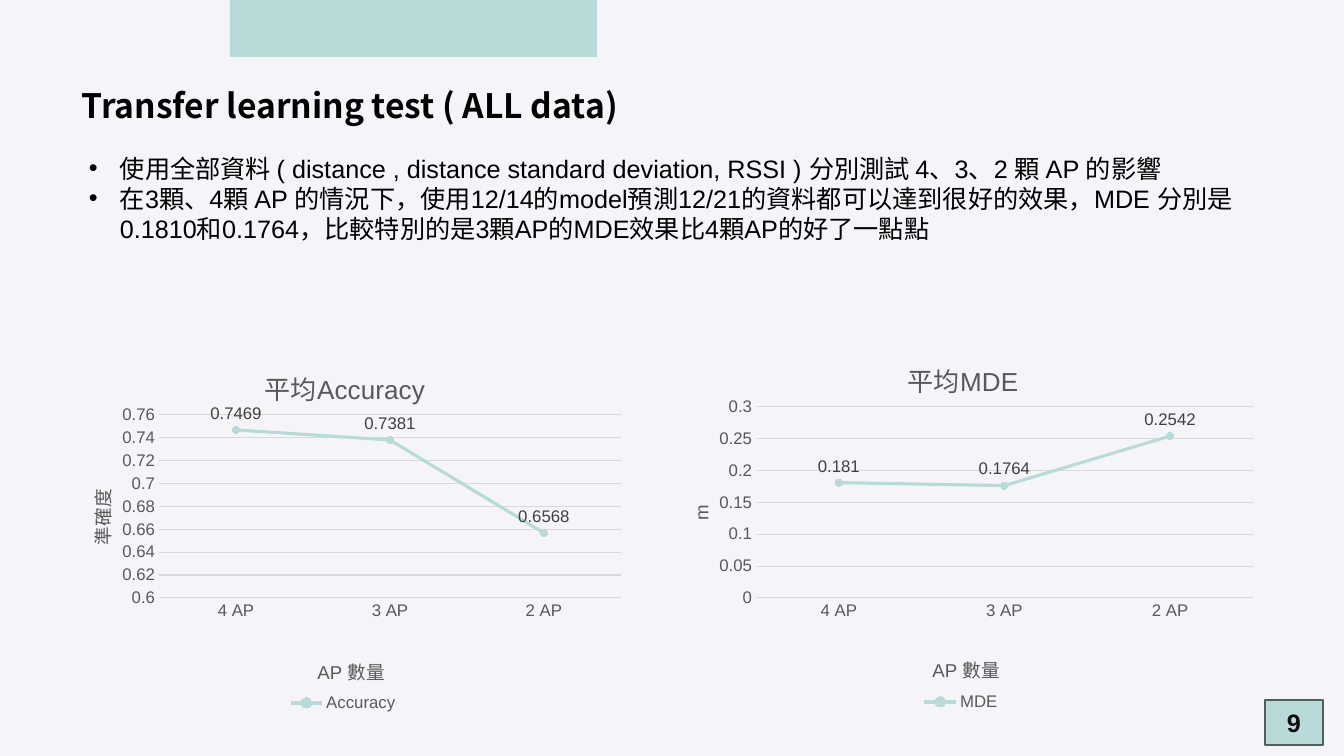
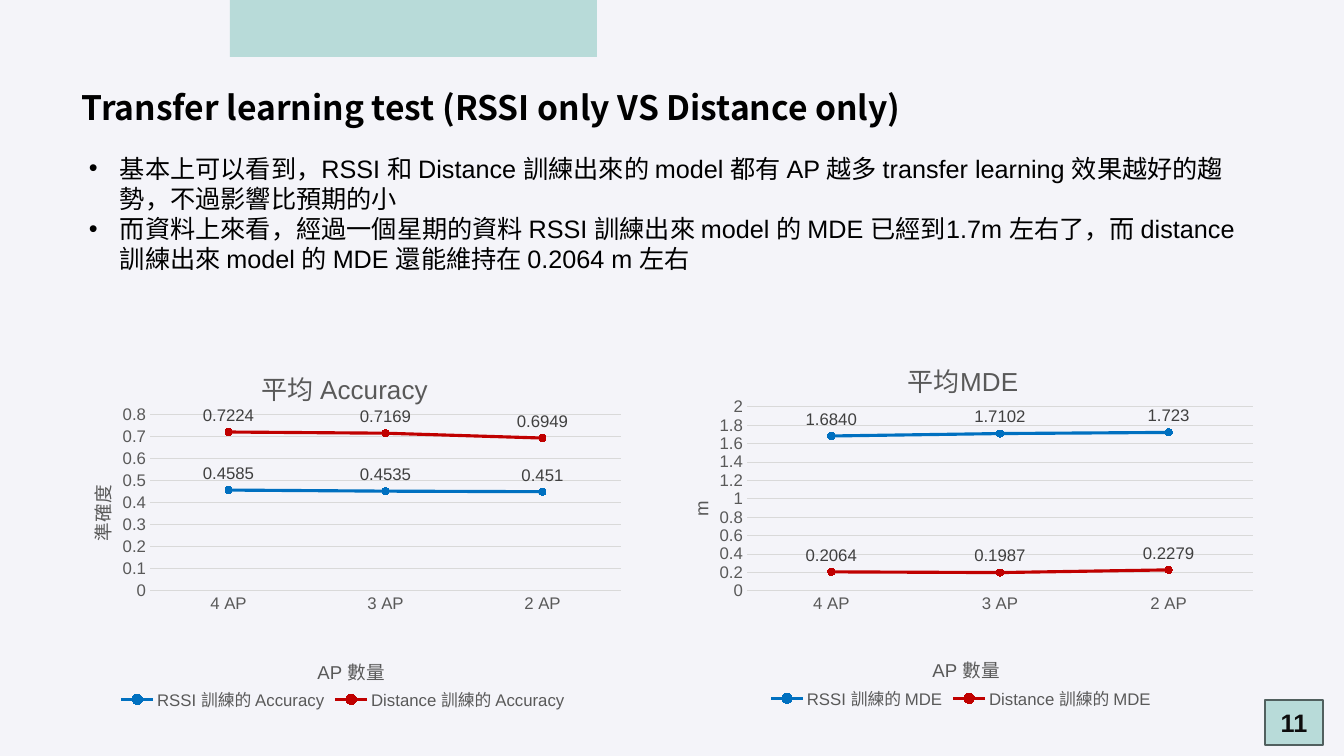
from lxml.etree import SubElement
from pptx import Presentation
from pptx.chart.data import CategoryChartData
from pptx.dml.color import RGBColor
from pptx.enum.chart import XL_CHART_TYPE as ChartType
from pptx.enum.chart import XL_LABEL_POSITION as LabelPosition
from pptx.enum.chart import XL_LEGEND_POSITION as LegendPosition
from pptx.enum.chart import XL_MARKER_STYLE as MarkerStyle
from pptx.enum.chart import XL_TICK_MARK as TickMark
from pptx.enum.shapes import MSO_SHAPE as Shape
from pptx.enum.text import MSO_ANCHOR as Anchor
from pptx.enum.text import MSO_AUTO_SIZE as AutoSize
from pptx.enum.text import PP_ALIGN as Align
from pptx.oxml import parse_xml
from pptx.oxml.ns import nsdecls, qn
from pptx.util import Pt

PX = 914400 / 100.8
WIDTH, HEIGHT = 1344, 756
INDENT = 31
COLORS = {name: RGBColor.from_string(value) for name, value in {
    "paper": "F4F4F9", "mint": "B8DBD9", "edge": "51605F", "ink": "000000",
    "number": "0D0D0D", "chart_text": "595959", "label": "404040",
    "grid": "D9D9D9", "blue": "0070C0", "red": "C00000",
}.items()}
AP_COUNTS = ["4 AP", "3 AP", "2 AP"]

# Chart frames and the places that stay the same on both slides
SIDES = [
    {"frame": (54, 339, 578, 377), "plot_top": 415, "plot_right": 621,
     "title_top": 361, "x_title": (314, 652), "y_title": "準確度", "y_title_left": 83},
    {"frame": (657, 330, 608, 385), "plot_top": 407, "plot_right": 1253,
     "title_top": 353, "x_title": (929, 650), "y_title": "m", "y_title_left": 686},
]

SLIDES = [
    {
        "number": "9",
        "title": "Transfer learning test ( ALL data)",
        "title_top": 40,
        "bullets": [
            "使用全部資料 ( distance , distance standard deviation, RSSI ) 分別測試 4、3、2 顆 AP 的影響",
            "在3顆、4顆 AP 的情況下，使用12/14的model預測12/21的資料都可以達到很好的效果，"
            "MDE 分別是 0.1810和0.1764，比較特別的是3顆AP的MDE效果比4顆AP的好了一點點",
        ],
        "plot_bottom": 598,
        "charts": [
            {"title": "平均Accuracy", "title_left": 260, "plot_left": 159,
             "y_title_top": 485, "scale": (0.6, 0.76, 0.02),
             "series": [("Accuracy", "mint", (0.7469, 0.7381, 0.6568))]},
            {"title": "平均MDE", "title_left": 903, "plot_left": 756,
             "y_title_top": 501, "scale": (0, 0.3, 0.05),
             "series": [("MDE", "mint", (0.181, 0.1764, 0.2542))]},
        ],
    },
    {
        "number": "11",
        "title": "Transfer learning test (RSSI only VS Distance only)",
        "title_top": 42,
        "bullets": [
            "基本上可以看到，RSSI 和 Distance 訓練出來的 model 都有 AP 越多 transfer learning "
            "效果越好的趨勢，不過影響比預期的小",
            "而資料上來看，經過一個星期的資料 RSSI 訓練出來 model 的 MDE 已經到1.7m 左右了，"
            "而 distance 訓練出來 model 的 MDE 還能維持在 0.2064 m 左右",
        ],
        "plot_bottom": 591,
        "charts": [
            {"title": "平均 Accuracy", "title_left": 257, "plot_left": 150,
             "y_title_top": 481, "scale": (0, 0.8, 0.1),
             "series": [("RSSI 訓練的 Accuracy", "blue", (0.4585, 0.4535, 0.451)),
                        ("Distance 訓練的 Accuracy", "red", (0.7224, 0.7169, 0.6949))]},
            {"title": "平均MDE", "title_left": 903, "plot_left": 747,
             "y_title_top": 497, "scale": (0, 2, 0.2), "first_label": "1.6840",
             "series": [("RSSI 訓練的 MDE", "blue", (1.684, 1.7102, 1.723)),
                        ("Distance 訓練的 MDE", "red", (0.2064, 0.1987, 0.2279))]},
        ],
    },
]


def write_text(frame, *lines, size, color="ink", font="Arial", bold=False,
               align=None, spacing=None, bullet=False):
    """Write each line as one paragraph of the text frame."""
    for index, line in enumerate(lines):
        para = frame.add_paragraph() if index else frame.paragraphs[0]
        para.alignment = align
        para.line_spacing = spacing
        span = para.add_run()
        span.text = line
        span.font.name = font
        span.font.size = Pt(size)
        span.font.bold = bold
        span.font.color.rgb = COLORS[color]
        if font != "Arial":
            SubElement(span.font._element, qn("a:ea"), typeface=font)
        if bullet:
            format_element = para._p.get_or_add_pPr()
            format_element.set("marL", str(round(INDENT * PX)))
            format_element.set("indent", str(round(-INDENT * PX)))
            SubElement(format_element, qn("a:buFont"), typeface="Arial")
            SubElement(format_element, qn("a:buChar"), char="•")


def place_in_chart(element, index, frame, left, top, right=None, bottom=None):
    """Fix a chart part at slide px, stored as shares of the chart frame."""
    frame_left, frame_top, frame_width, frame_height = frame
    settings = [("xMode", "edge"), ("yMode", "edge"),
                ("x", (left - frame_left) / frame_width),
                ("y", (top - frame_top) / frame_height)]
    if right is not None:
        settings.insert(0, ("layoutTarget", "inner"))
        settings += [("w", (right - left) / frame_width),
                     ("h", (bottom - top) / frame_height)]
    for old in element.findall(qn("c:layout")):
        element.remove(old)
    layout = parse_xml(f"<c:layout {nsdecls('c')}><c:manualLayout/></c:layout>")
    for name, value in settings:
        SubElement(layout[0], qn(f"c:{name}"), val=str(value))
    element.insert(index, layout)


deck = Presentation()
deck.slide_width, deck.slide_height = round(WIDTH * PX), round(HEIGHT * PX)
background = deck.slide_master.background.fill
background.solid()
background.fore_color.rgb = COLORS["paper"]

for content in SLIDES:
    page = deck.slides.add_slide(deck.slide_layouts[6])

    # Top band and page number
    for bounds, number in [((230, -96, 367, 153), None),
                           ((1265, 700, 58, 45), content["number"])]:
        box = page.shapes.add_shape(Shape.RECTANGLE, *[round(v * PX) for v in bounds])
        box.shadow.inherit = False
        box.fill.solid()
        box.fill.fore_color.rgb = COLORS["mint"]
        if number is None:
            box.line.fill.background()
            continue
        box.line.color.rgb = COLORS["edge"]
        box.line.width = Pt(2)
        box.text_frame.vertical_anchor = Anchor.MIDDLE
        write_text(box.text_frame, number, size=18, color="number", bold=True,
                   align=Align.CENTER)

    # Title and bullets
    for bounds, lines, style in [
        ((72, content["title_top"], 1272, 79), [content["title"]],
         {"size": 24, "font": "Noto Sans CJK SC", "bold": True, "spacing": 2.0}),
        ((79, 148, 1170, 102), content["bullets"], {"size": 18, "bullet": True}),
    ]:
        box = page.shapes.add_textbox(*[round(v * PX) for v in bounds])
        box.text_frame.word_wrap = True
        box.text_frame.auto_size = AutoSize.SHAPE_TO_FIT_TEXT
        write_text(box.text_frame, *lines, **style)

    # Line charts
    for side, plan in zip(SIDES, content["charts"]):
        frame = side["frame"]
        data = CategoryChartData()
        data.categories = AP_COUNTS
        for name, _, values in plan["series"]:
            data.add_series(name, values)
        chart = page.shapes.add_chart(
            ChartType.LINE_MARKERS, *[round(v * PX) for v in frame], data).chart
        chart.font.name = "Arial"
        chart.font.size = Pt(12)
        chart.font.color.rgb = COLORS["chart_text"]
        chart.has_legend = True
        chart.legend.position = LegendPosition.BOTTOM
        chart.legend.include_in_layout = False
        chart.plots[0].vary_by_categories = False
        place_in_chart(chart._chartSpace.chart.plotArea, 0, frame,
                       plan["plot_left"], side["plot_top"],
                       side["plot_right"], content["plot_bottom"])

        categories, values_axis = chart.category_axis, chart.value_axis
        for axis in (categories, values_axis):
            axis.major_tick_mark = axis.minor_tick_mark = TickMark.NONE
        categories.format.line.color.rgb = COLORS["grid"]
        categories.format.line.width = Pt(0.75)
        values_axis.format.line.fill.background()
        values_axis.major_gridlines.format.line.color.rgb = COLORS["grid"]
        values_axis.major_gridlines.format.line.width = Pt(0.75)
        (values_axis.minimum_scale, values_axis.maximum_scale,
         values_axis.major_unit) = plan["scale"]

        for title, text, size, corner in [
            (chart.chart_title, plan["title"], 18.6,
             (plan["title_left"], side["title_top"])),
            (categories.axis_title, "AP 數量", 13.3, side["x_title"]),
            (values_axis.axis_title, side["y_title"], 13.3,
             (side["y_title_left"], plan["y_title_top"])),
        ]:
            write_text(title.text_frame, text, size=size, color="chart_text")
            place_in_chart(title._element, 1, frame, *corner)
        turned = values_axis.axis_title.text_frame._txBody.bodyPr
        turned.set("rot", "-5400000")
        turned.set("vert", "horz")

        for series, (_, color, _) in zip(chart.plots[0].series, plan["series"]):
            series.smooth = False
            series.format.line.color.rgb = COLORS[color]
            series.format.line.width = Pt(2.25)
            series.marker.style = MarkerStyle.CIRCLE
            series.marker.size = 5
            series.marker.format.fill.solid()
            series.marker.format.fill.fore_color.rgb = COLORS[color]
            series.marker.format.line.color.rgb = COLORS[color]
            labels = series.data_labels
            labels.show_value = True
            labels.position = LabelPosition.ABOVE
            labels.font.name = "Arial"
            labels.font.size = Pt(12)
            labels.font.color.rgb = COLORS["label"]
        if "first_label" in plan:
            label = chart.plots[0].series[0].points[0].data_label
            write_text(label.text_frame, plan["first_label"], size=12, color="label")
            label.position = LabelPosition.ABOVE

deck.save("out.pptx")
